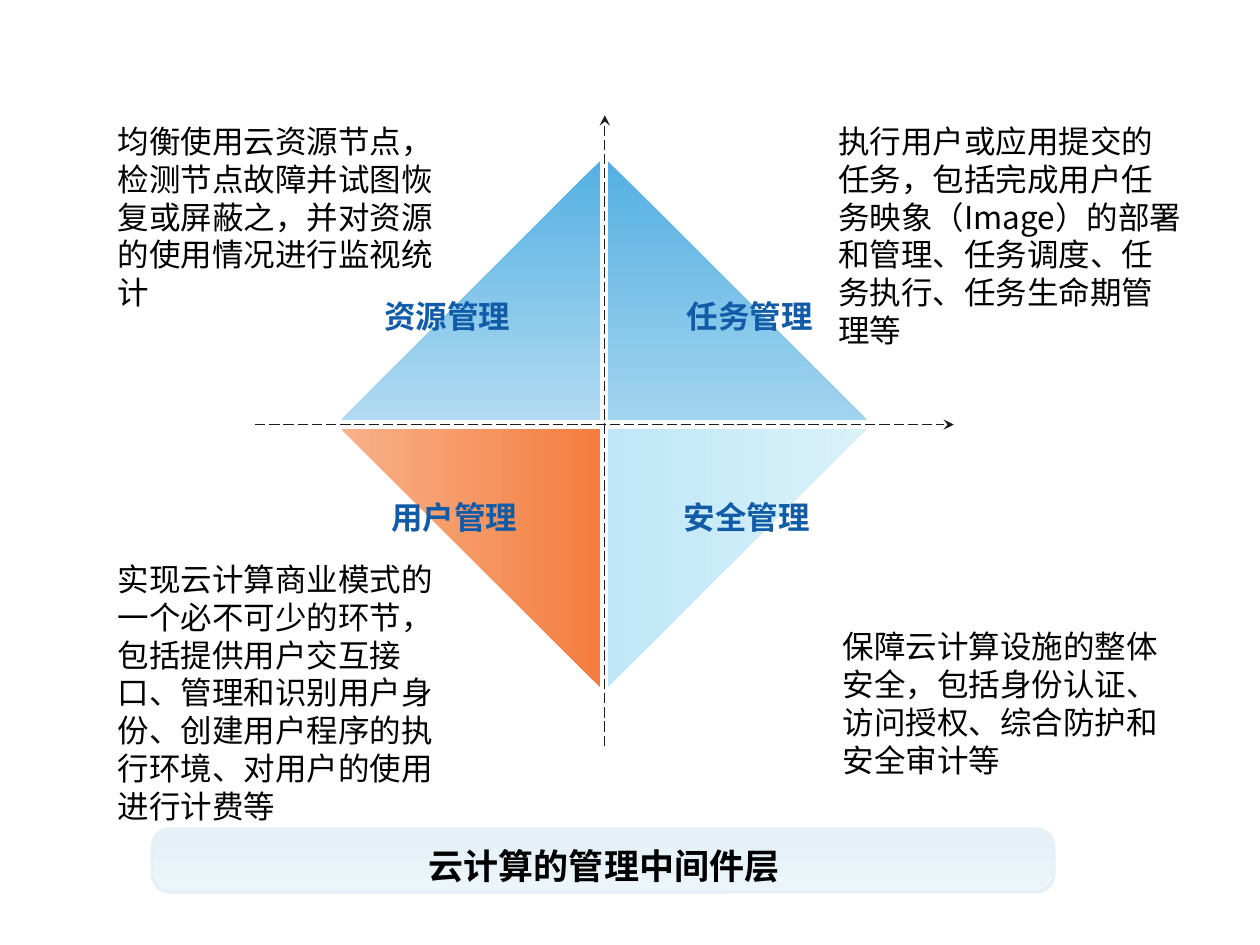
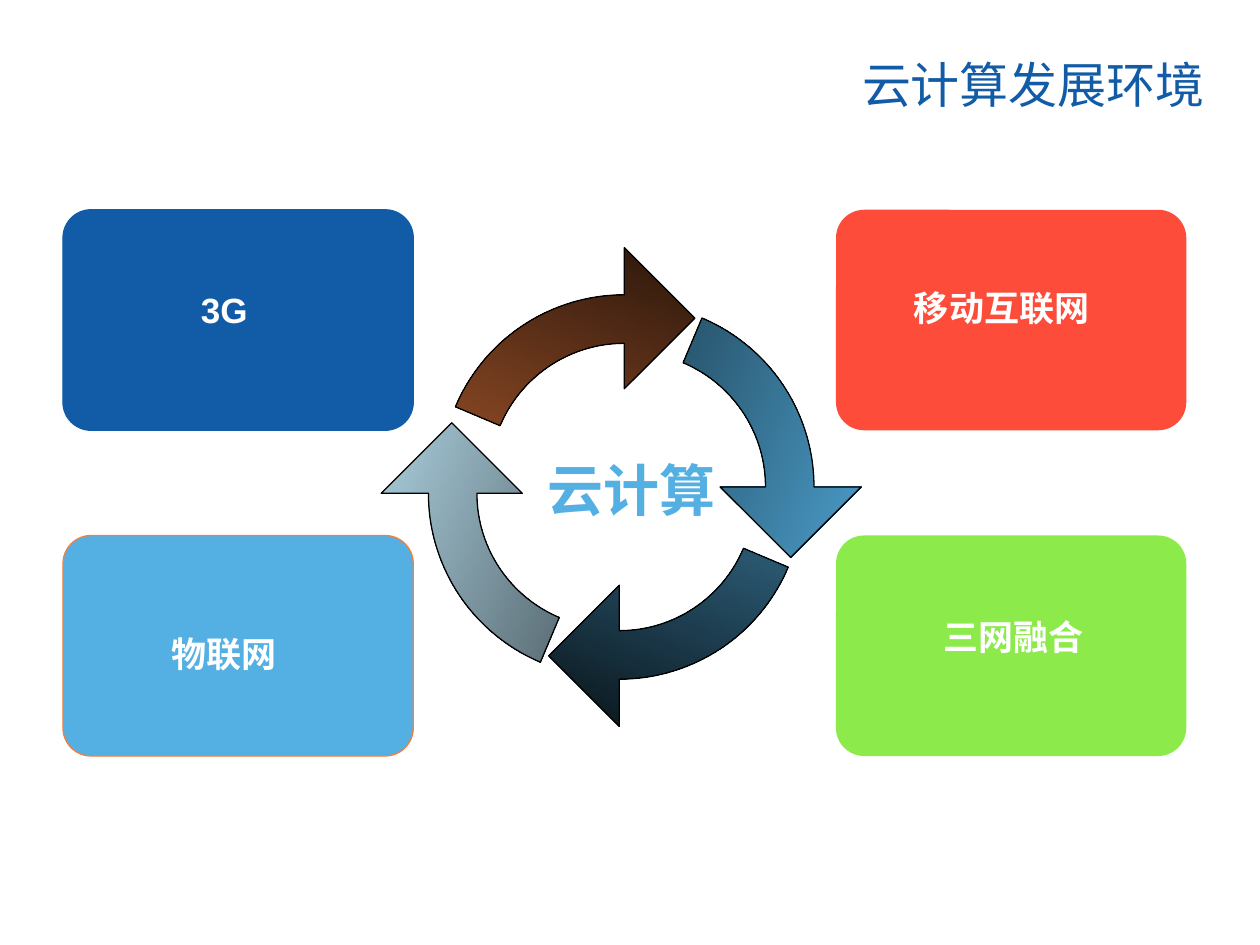
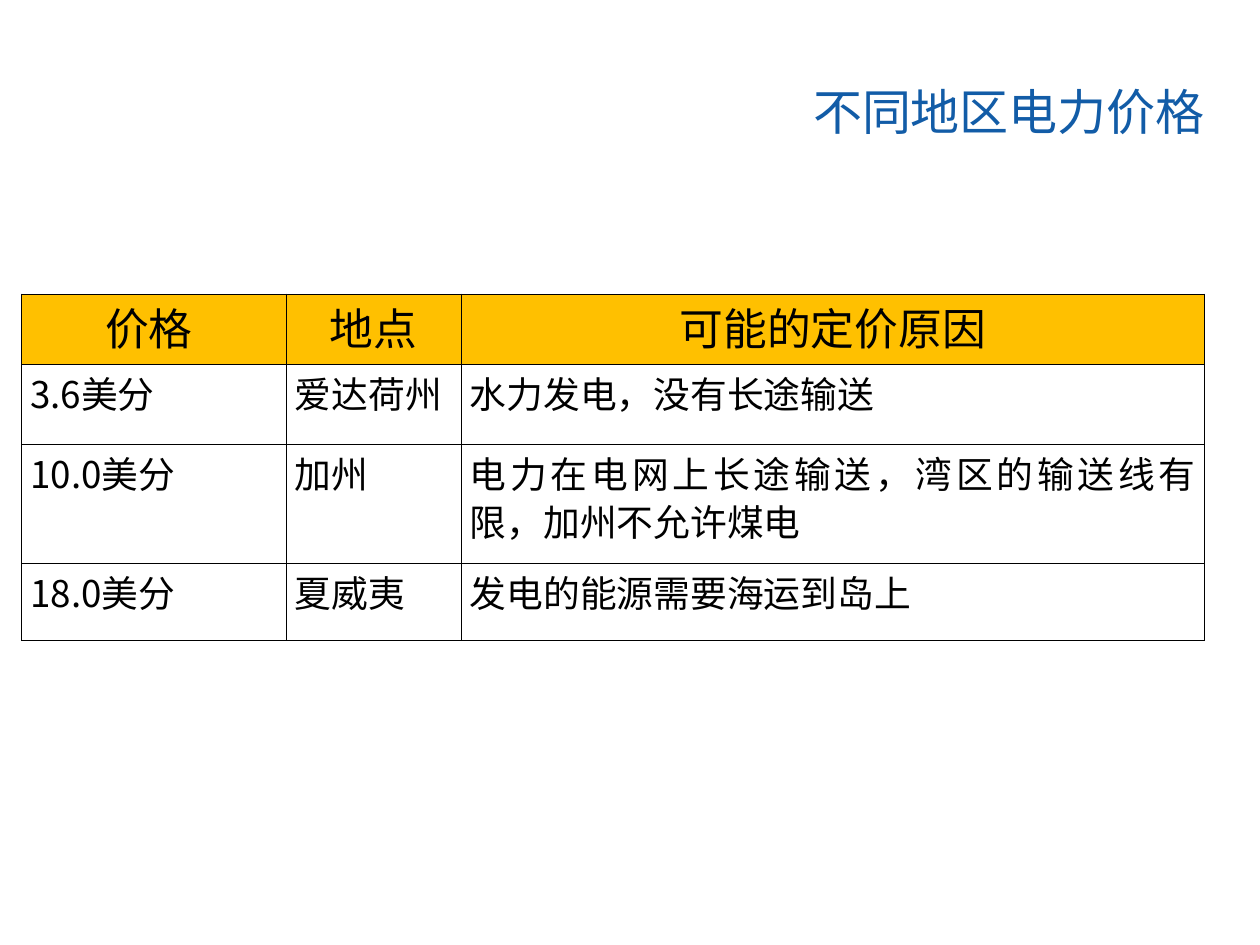
import math
from dataclasses import dataclass

import lxml.etree
import pptx
import pptx.dml.color
import pptx.enum.dml
import pptx.enum.shapes
import pptx.enum.text
import pptx.oxml.ns
import pptx.util

SHAPE = pptx.enum.shapes.MSO_SHAPE
ALIGN = pptx.enum.text.PP_ALIGN
ANCHOR = pptx.enum.text.MSO_ANCHOR
qn = pptx.oxml.ns.qn

COLUMNS, ROWS = 100, 75


@dataclass(frozen=True)
class Theme:
    navy: str = "125CA7"
    sky: str = "54B0E2"
    mist: str = "BFE7F7"
    orange: str = "F47E3F"
    red: str = "FD4C39"
    green: str = "8CEB4B"
    gold: str = "FFC000"
    ice: str = "E5F1F7"
    pale: str = "ECF5F9"
    axis: str = "1C1C1C"
    black: str = "000000"
    white: str = "FFFFFF"
    title_font: str = "Roboto"
    label_font: str = "Arial"
    body_font: str = "Noto Sans CJK SC"
    table_font: str = "Times New Roman"
    body: int = 18
    caption: int = 20
    cell: int = 21
    head: int = 25
    title: int = 28
    hub: int = 32


THEME = Theme()


def rgb(color):
    return pptx.dml.color.RGBColor.from_string(color)


def set_paragraph(p, align):
    """Align a paragraph and keep its punctuation inside the margin."""
    p.alignment = align
    p._p.get_or_add_pPr().set("hangingPunct", "0")


class Deck:
    """Style and current slide; lengths are columns and rows of the grid."""

    def __init__(self, theme):
        self.theme = theme
        self.prs = pptx.Presentation()
        self.prs.slide_width = pptx.util.Inches(10)
        self.prs.slide_height = pptx.util.Inches(7.5)
        self.s = None

    def x(self, columns):
        return round(self.prs.slide_width * columns / COLUMNS)

    def y(self, rows):
        return round(self.prs.slide_height * rows / ROWS)

    def area(self, left, top, width, height):
        return self.x(left), self.y(top), self.x(width), self.y(height)

    def new_slide(self, title=None, top=0):
        self.s = self.prs.slides.add_slide(self.prs.slide_layouts[6])
        if title:
            tf = self.text(title, (3.9, top, 91.7, 4.2), self.theme.title,
                           self.theme.navy, self.theme.title_font,
                           align=ALIGN.RIGHT, anchor=ANCHOR.MIDDLE)
            tf.margin_left = tf.margin_right = tf.margin_top = tf.margin_bottom = 0
            tf.paragraphs[0].line_spacing = 0.9

    def style_run(self, r, size, color, font, bold=False):
        r.font.size = pptx.util.Pt(size)
        r.font.name = font
        r.font.bold = bold
        r.font.color.rgb = rgb(color)

    def text(self, text, box, size, color, font, bold=False,
             align=ALIGN.LEFT, anchor=ANCHOR.TOP):
        tf = self.s.shapes.add_textbox(*self.area(*box)).text_frame
        tf.word_wrap = True
        tf.vertical_anchor = anchor
        tf.text = text
        p = tf.paragraphs[0]
        set_paragraph(p, align)
        self.style_run(p.runs[0], size, color, font, bold)
        return tf

    def label(self, text, center, width, size, color, font=None):
        """Bold one-line text centred on a point."""
        column, row = center
        self.text(text, (column - width / 2, row - 2.2, width, 4.4), size, color,
                  font or self.theme.label_font, True, ALIGN.CENTER, ANCHOR.MIDDLE)

    def paint(self, sp, fill, angle=0, line=None, weight=0.75):
        """Fill with one colour, or with a pair as a gradient turned clockwise."""
        sp.shadow.inherit = False
        if isinstance(fill, str):
            sp.fill.solid()
            sp.fill.fore_color.rgb = rgb(fill)
        else:
            sp.fill.gradient()
            sp.fill.gradient_angle = (360 - angle) % 360
            for stop, color in zip(sp.fill.gradient_stops, fill):
                stop.color.rgb = rgb(color)
            sp._element.spPr.find(qn("a:gradFill")).set("rotWithShape", "0")
        if line:
            sp.line.color.rgb = rgb(line)
            sp.line.width = pptx.util.Pt(weight)
        else:
            sp.line.fill.background()

    def rounded(self, box, radius, fill, angle=0, line=None, weight=0.75):
        sp = self.s.shapes.add_shape(SHAPE.ROUNDED_RECTANGLE, *self.area(*box))
        sp.adjustments[0] = radius
        self.paint(sp, fill, angle, line, weight)

    def triangle(self, box, fill, angle, rotation=0, flip=False):
        sp = self.s.shapes.add_shape(SHAPE.RIGHT_TRIANGLE, *self.area(*box))
        self.paint(sp, fill, angle)
        sp.rotation = rotation
        if flip:
            sp._element.spPr.find(qn("a:xfrm")).set("flipH", "1")

    def axis(self, start, end):
        c = self.s.shapes.add_connector(
            pptx.enum.shapes.MSO_CONNECTOR.STRAIGHT,
            self.x(start[0]), self.y(start[1]), self.x(end[0]), self.y(end[1]))
        c.line.color.rgb = rgb(self.theme.axis)
        c.line.width = pptx.util.Pt(0.75)
        c.line.dash_style = pptx.enum.dml.MSO_LINE.LONG_DASH
        ln = c.line._get_or_add_ln()
        lxml.etree.SubElement(ln, qn("a:tailEnd"), type="stealth")
        lxml.etree.SubElement(c._element.spPr, qn("a:effectLst"))

    def cycle_arrow(self, center, rotation, fill, angle):
        """Clockwise arrow in the frame of its whole ring; its tail is at 12 o'clock."""
        ring, inner, outer, sweep = 14.6, 10.7, 14.55, 67.1
        left, top = center[0] - ring, center[1] - ring
        right, bottom = center[0] + ring, center[1] + ring
        builder = self.s.shapes.build_freeform(self.x(left), self.y(top))
        builder.add_line_segments([(self.x(right), self.y(top)),
                                   (self.x(right), self.y(bottom)),
                                   (self.x(left), self.y(bottom))], close=True)
        sp = builder.convert_to_shape()
        outline = next(sp._element.iter(qn("a:path")))
        for step in list(outline):
            outline.remove(step)

        def go(kind, radius, degrees, offset=0):
            """Step to a point on a ray from the centre, moved sideways by offset."""
            a = math.radians(degrees)
            u = ring + radius * math.sin(a) + offset * math.cos(a)
            v = ring - radius * math.cos(a) + offset * math.sin(a)
            step = lxml.etree.SubElement(outline, qn("a:" + kind))
            lxml.etree.SubElement(step, qn("a:pt"), x=str(self.x(u)), y=str(self.y(v)))

        def arc(radius, start, turn):
            lxml.etree.SubElement(
                outline, qn("a:arcTo"), wR=str(self.x(radius)), hR=str(self.y(radius)),
                stAng=str(round((start + 270) % 360 * 60000)), swAng=str(round(turn * 60000)))

        go("moveTo", inner, sweep)
        arc(inner, sweep, -sweep)
        go("lnTo", outer, 0)
        arc(outer, 0, sweep)
        for radius, offset in ((18.3, 0), (12.7, 5.6), (7.1, 0)):
            go("lnTo", radius, sweep, offset)
        lxml.etree.SubElement(outline, qn("a:close"))
        self.paint(sp, fill, angle, self.theme.black)
        sp.rotation = rotation

    def border(self, cell):
        tc_pr = cell._tc.get_or_add_tcPr()
        for i, side in enumerate(("lnL", "lnR", "lnT", "lnB")):
            ln = lxml.etree.Element(qn("a:" + side), w=str(pptx.util.Pt(0.45)))
            fill = lxml.etree.SubElement(ln, qn("a:solidFill"))
            lxml.etree.SubElement(fill, qn("a:srgbClr"), val=self.theme.black)
            tc_pr.insert(i, ln)

    def table(self, left, top, widths, heights, rows):
        """Table with a gold head; a cell given as a tuple is a figure and its unit."""
        t = self.theme
        frame = self.s.shapes.add_table(
            len(rows), len(widths), *self.area(left, top, sum(widths), sum(heights)))
        table = frame.table
        table.first_row = table.horz_banding = False
        for column, width in zip(table.columns, widths):
            column.width = self.x(width)
        for i, (row, height) in enumerate(zip(rows, heights)):
            table.rows[i].height = self.y(height)
            for j, content in enumerate(row):
                cell = table.cell(i, j)
                cell.margin_left = cell.margin_right = self.x(0.7)
                p = cell.text_frame.paragraphs[0]
                set_paragraph(p, ALIGN.JUSTIFY if i else ALIGN.CENTER)
                p.line_spacing = 0.9
                if i == 0:
                    cell.fill.solid()
                    cell.fill.fore_color.rgb = rgb(t.gold)
                    parts = [(content, t.head, t.label_font)]
                else:
                    cell.fill.background()
                    if isinstance(content, tuple):
                        parts = zip(content, (t.cell, t.cell), (t.body_font, t.table_font))
                    else:
                        parts = [(content, t.cell, t.table_font)]
                for text, size, font in parts:
                    r = p.add_run()
                    r.text = text
                    self.style_run(r, size, t.black, font)
                self.border(cell)


def management_layer(deck):
    t = deck.theme
    deck.new_slide()
    deck.rounded((12.1, 65.8, 71.55, 5), 0.275, (t.ice, t.pale), 90, t.ice, 2)

    side, left, right, upper, lower = 20.5, 27.12, 48.25, 12.8, 34.04
    deck.triangle((left, upper, side, side), (t.sky, "B1DBF2"), 90, flip=True)
    deck.triangle((right, upper, side, side), (t.sky, "A2D4EF"), 90)
    deck.triangle((right, lower, side, side), (t.mist, "DAF1FA"), 0, rotation=90)
    deck.triangle((left, lower, side, side), (t.orange, "F8B18A"), 0, rotation=270, flip=True)
    deck.axis((48, 59.2), (48, 9.15))
    deck.axis((20.25, 33.7), (75.7, 33.7))

    for name, center in (("资源管理", (35.5, 25.1)), ("任务管理", (59.5, 25.1)),
                         ("安全管理", (59.25, 41)), ("用户管理", (36.05, 41))):
        deck.label(name, center, 14, t.body, t.navy)
    deck.label("云计算的管理中间件层", (47.95, 68.7), 68, t.caption, t.black, t.body_font)

    for text, column, row, height in (
            ("均衡使用云资源节点，检测节点故障并试图恢复或屏蔽之，并对资源的使用情况进行监视统计",
             8.35, 9.2, 16),
            ("执行用户或应用提交的任务，包括完成用户任务映象（Image）的部署和管理、任务调度、"
             "任务执行、任务生命期管理等", 65.55, 9.2, 19),
            ("实现云计算商业模式的一个必不可少的环节，包括提供用户交互接口、管理和识别用户身份、"
             "创建用户程序的执行环境、对用户的使用进行计费等", 8.35, 43.95, 22),
            ("保障云计算设施的整体安全，包括身份认证、访问授权、综合防护和安全审计等",
             65.9, 49.3, 13)):
        deck.text(text, (column, row, 29.2, height), t.body, t.black, t.body_font)


def environment(deck):
    t = deck.theme
    deck.new_slide("云计算发展环境", 4.85)
    for name, column, row, fill, line, center in (
            ("3G", 5, 16.65, t.navy, t.navy, (17.8, 24.6)),
            ("移动互联网", 66.35, 16.65, t.red, None, (79.5, 24.4)),
            ("物联网", 5, 42.5, t.sky, t.orange, (17.8, 51.9)),
            ("三网融合", 66.35, 42.5, t.green, None, (80.45, 50.5))):
        deck.rounded((column, row, 27.8, 17.5), 0.127, fill, line=line)
        deck.label(name, center, 18.1, t.caption, t.white)
    for center, rotation, fill, angle in (
            ((49.15, 39.35), 112.9, (t.black, t.sky), 292),
            ((48.55, 39.15), 202.9, (t.black, t.mist), 202),
            ((49.55, 37.95), 292.9, ("0F0804", t.orange), 112),
            ((50.05, 38.65), 22.9, (t.black, t.sky), 22)):
        deck.cycle_arrow(center, rotation, fill, angle)
    deck.label("云计算", (50.1, 38.8), 20.8, t.hub, t.sky)


def electricity_prices(deck):
    deck.new_slide("不同地区电力价格", 7)
    deck.table(1.7, 23.33, (21, 13.9, 59), (5.57, 6.35, 9.44, 6.11), (
        ("价格 ", "地点", "可能的定价原因"),
        (("3.6", "美分"), "爱达荷州", "水力发电，没有长途输送"),
        (("10.0", "美分"), "加州", "电力在电网上长途输送，湾区的输送线有限，加州不允许煤电"),
        (("18.0", "美分"), "夏威夷", "发电的能源需要海运到岛上")))


def main():
    deck = Deck(THEME)
    management_layer(deck)
    environment(deck)
    electricity_prices(deck)
    deck.prs.save("out.pptx")


if __name__ == "__main__":
    main()
